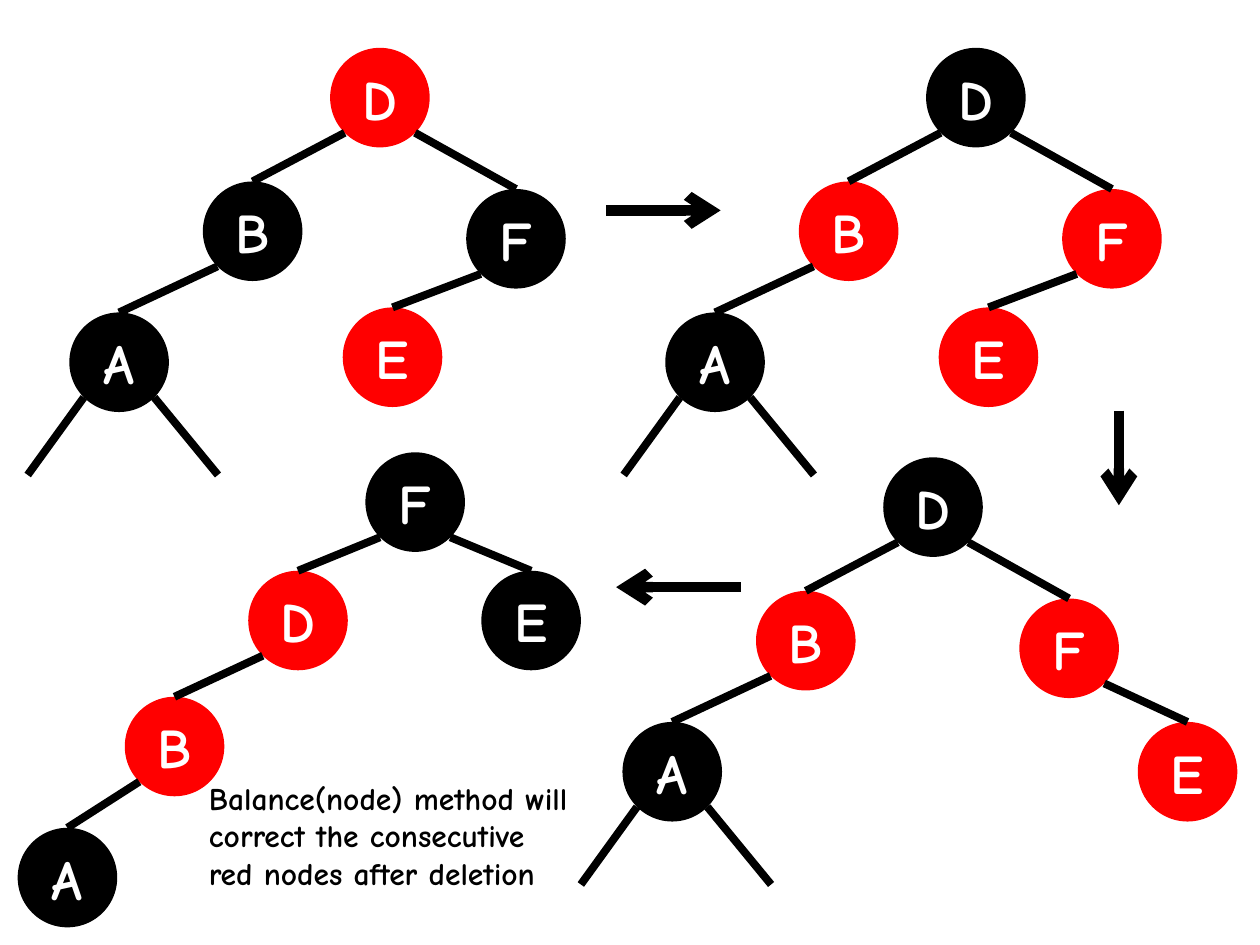
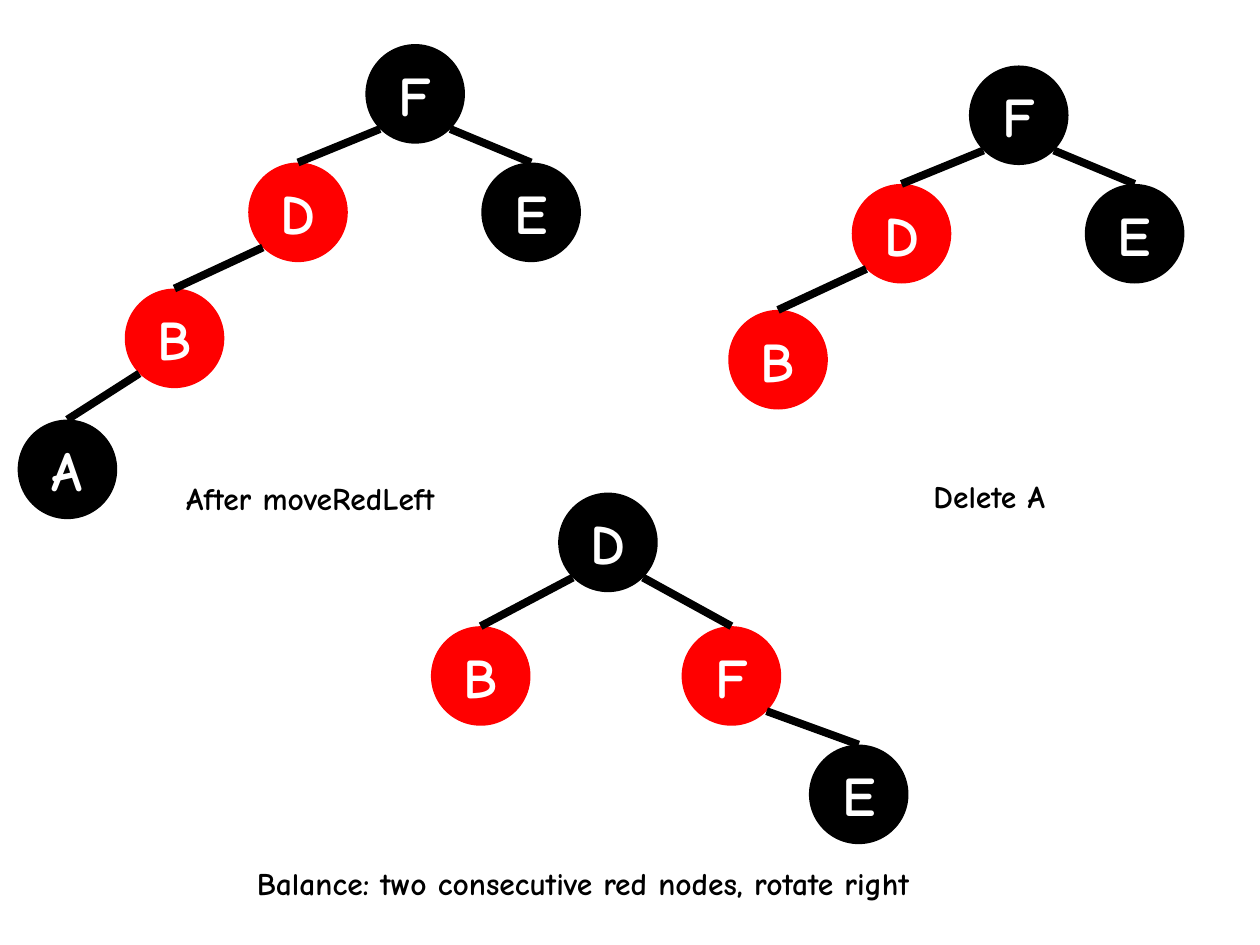
from dataclasses import dataclass
from math import sqrt

from lxml.etree import SubElement
from pptx import Presentation
from pptx.dml.color import RGBColor
from pptx.enum.shapes import MSO_CONNECTOR, MSO_SHAPE
from pptx.enum.text import MSO_ANCHOR, MSO_AUTO_SIZE, PP_ALIGN
from pptx.oxml.ns import qn
from pptx.shapes.autoshape import Shape
from pptx.shapes.connector import Connector
from pptx.shapes.shapetree import GroupShapes, SlideShapes
from pptx.slide import Slide
from pptx.text.text import _Paragraph as Paragraph
from pptx.util import Inches, Pt

BLACK = RGBColor(0x00, 0x00, 0x00)
RED = RGBColor(0xFF, 0x00, 0x00)
WHITE = RGBColor(0xFF, 0xFF, 0xFF)
FONT = "Comic Neue"
NODE_SIZE = 0.79
NEAR = NODE_SIZE / 2 * (1 - sqrt(0.5))
FAR = NODE_SIZE - NEAR
EDGE_WIDTH = 4.5
ARROW_WIDTH = 6
STUB_LEFT, STUB_RIGHT, STUB_BOTTOM = -0.33, 1.18, 1.29

Point = tuple[float, float]


@dataclass(frozen=True)
class Node:
    label: str
    x: float
    y: float
    parent: str = ""


@dataclass(frozen=True)
class Tree:
    left: float
    top: float
    nodes: tuple[Node, ...]
    red_labels: str
    stub_label: str = ""


@dataclass(frozen=True)
class Caption:
    text: str
    left: float
    top: float
    width: float
    height: float = 0.4
    wraps: bool = False


@dataclass(frozen=True)
class Arrow:
    start: Point
    end: Point


@dataclass(frozen=True)
class Step:
    trees: tuple[Tree, ...]
    captions: tuple[Caption, ...]
    arrows: tuple[Arrow, ...] = ()


D_ROOTED = (
    Node("A", -2.07, 2.1, "B"),
    Node("B", -1.01, 1.06, "D"),
    Node("D", 0, 0),
    Node("F", 1.08, 1.12, "D"),
)
E_LEFT_OF_F = D_ROOTED + (Node("E", 0.1, 2.06, "F"),)
E_RIGHT_OF_F = D_ROOTED + (Node("E", 2.02, 2.1, "F"),)
A_DELETED = (
    Node("B", -1.91, 1.94, "D"),
    Node("D", -0.93, 0.94, "F"),
    Node("F", 0, 0),
    Node("E", 0.92, 0.94, "F"),
)
F_ROOTED = (Node("A", -2.76, 2.98, "B"),) + A_DELETED
BALANCED = (
    Node("B", -1.01, 1.06, "D"),
    Node("D", 0, 0),
    Node("F", 0.98, 1.06, "D"),
    Node("E", 1.99, 2, "F"),
)

STEPS = (
    Step(
        trees=(
            Tree(2.62, 0.38, E_LEFT_OF_F, "DE", "A"),
            Tree(7.35, 0.38, E_LEFT_OF_F, "BFE", "A"),
            Tree(7.01, 3.63, E_RIGHT_OF_F, "BFE", "A"),
            Tree(2.9, 3.59, F_ROOTED, "BD"),
        ),
        captions=(
            Caption(
                "Balance(node) method will correct the consecutive red nodes after deletion",
                1.56, 6.13, 3.11, 1.31, wraps=True,
            ),
        ),
        arrows=(
            Arrow((4.81, 1.67), (5.72, 1.67)),
            Arrow((8.88, 3.26), (8.88, 4.01)),
            Arrow((5.88, 4.66), (4.89, 4.66)),
        ),
    ),
    Step(
        trees=(
            Tree(2.9, 0.35, F_ROOTED, "BD"),
            Tree(7.69, 0.52, A_DELETED, "BD"),
            Tree(4.43, 3.91, BALANCED, "BF"),
        ),
        captions=(
            Caption("After moveRedLeft", 1.38, 3.75, 2.66),
            Caption("Delete A", 7.31, 3.74, 1.29),
            Caption("Balance: two consecutive red nodes, rotate right", 1.94, 6.81, 6.24),
        ),
    ),
)


def style_text(paragraph: Paragraph, size: float, color: RGBColor) -> None:
    paragraph.font.name = FONT
    paragraph.font.size = Pt(size)
    paragraph.font.bold = True
    paragraph.font.color.rgb = color


def add_line(
    shapes: SlideShapes | GroupShapes, start: Point, end: Point, width: float
) -> Connector:
    connector = shapes.add_connector(
        MSO_CONNECTOR.STRAIGHT, *(Inches(value) for value in start + end)
    )
    connector.line.color.rgb = BLACK
    connector.line.width = Pt(width)
    SubElement(connector._element.spPr, qn("a:effectLst"))
    return connector


def add_node(shapes: GroupShapes, label: str, corner: Point, fill: RGBColor) -> Shape:
    left, top = corner
    circle = shapes.add_shape(
        MSO_SHAPE.OVAL, Inches(left), Inches(top), Inches(NODE_SIZE), Inches(NODE_SIZE)
    )
    circle.shadow.inherit = False
    circle.fill.solid()
    circle.fill.fore_color.rgb = fill
    circle.line.fill.background()
    circle.text_frame.vertical_anchor = MSO_ANCHOR.MIDDLE
    paragraph = circle.text_frame.paragraphs[0]
    paragraph.text = label
    paragraph.alignment = PP_ALIGN.CENTER
    style_text(paragraph, 32, WHITE)
    return circle


def add_tree(slide: Slide, tree: Tree) -> None:
    shapes = slide.shapes.add_group_shape().shapes
    corners = {node.label: (tree.left + node.x, tree.top + node.y) for node in tree.nodes}
    circles = {
        label: add_node(shapes, label, corner, RED if label in tree.red_labels else BLACK)
        for label, corner in corners.items()
    }
    for node in tree.nodes:
        if not node.parent:
            continue
        child_left, child_top = corners[node.label]
        parent_left, parent_top = corners[node.parent]
        side = NEAR if child_left < parent_left else FAR
        edge = add_line(
            shapes,
            (parent_left + side, parent_top + FAR),
            (child_left + NODE_SIZE / 2, child_top),
            EDGE_WIDTH,
        )
        edge.end_connect(circles[node.label], 0)
    if tree.stub_label:
        left, top = corners[tree.stub_label]
        for side, stub_end in ((NEAR, STUB_LEFT), (FAR, STUB_RIGHT)):
            add_line(
                shapes,
                (left + side, top + FAR),
                (left + stub_end, top + STUB_BOTTOM),
                EDGE_WIDTH,
            )


def add_caption(slide: Slide, caption: Caption) -> None:
    text_box = slide.shapes.add_textbox(
        Inches(caption.left), Inches(caption.top), Inches(caption.width), Inches(caption.height)
    )
    text_box.text_frame.word_wrap = caption.wraps
    text_box.text_frame.auto_size = MSO_AUTO_SIZE.SHAPE_TO_FIT_TEXT
    paragraph = text_box.text_frame.paragraphs[0]
    paragraph.text = caption.text
    style_text(paragraph, 18, BLACK)


def add_arrow(slide: Slide, arrow: Arrow) -> None:
    connector = add_line(slide.shapes, arrow.start, arrow.end, ARROW_WIDTH)
    SubElement(connector.line._get_or_add_ln(), qn("a:tailEnd"), type="arrow")


def main() -> None:
    presentation = Presentation()
    presentation.slide_width = Inches(10)
    presentation.slide_height = Inches(7.5)
    for step in STEPS:
        slide = presentation.slides.add_slide(presentation.slide_layouts[6])
        for tree in step.trees:
            add_tree(slide, tree)
        for caption in step.captions:
            add_caption(slide, caption)
        for arrow in step.arrows:
            add_arrow(slide, arrow)
    presentation.save("out.pptx")


if __name__ == "__main__":
    main()
